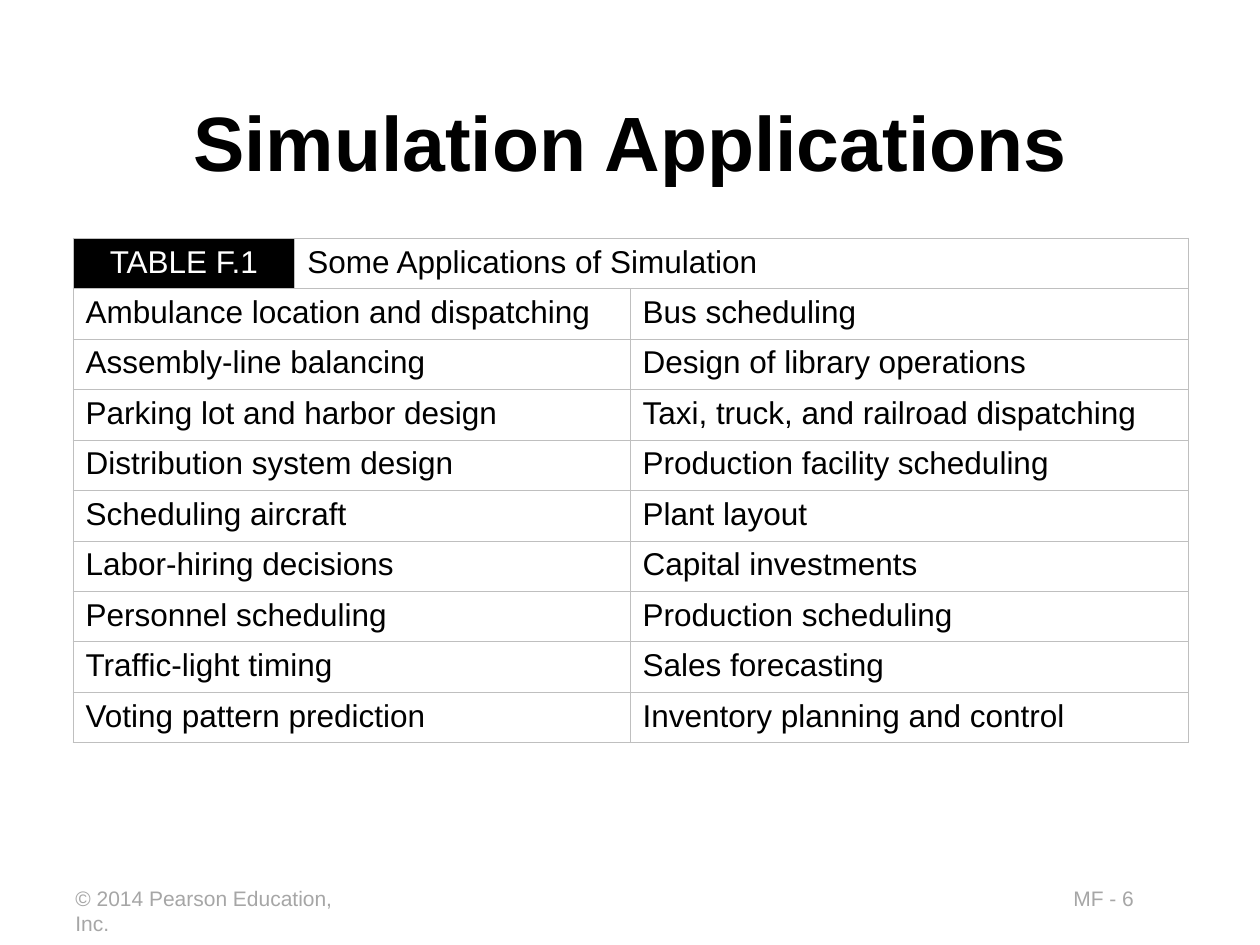
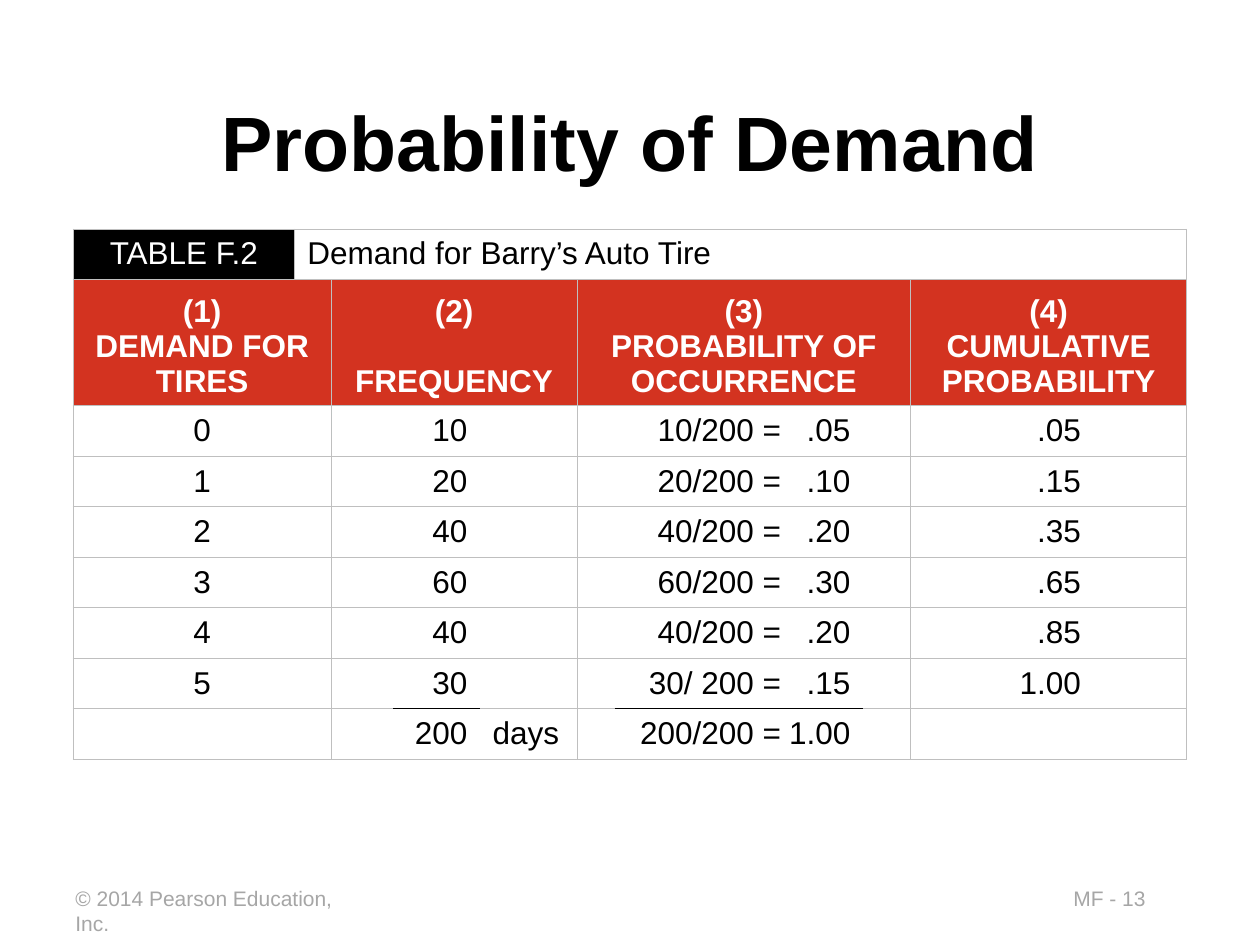
from dataclasses import dataclass

from lxml import etree
from pptx import Presentation
from pptx.dml.color import RGBColor
from pptx.enum.text import MSO_ANCHOR, PP_ALIGN
from pptx.oxml.ns import qn
from pptx.util import Inches, Pt

LEFT, CENTER, RIGHT = PP_ALIGN.LEFT, PP_ALIGN.CENTER, PP_ALIGN.RIGHT
TOP, MIDDLE, BOTTOM = MSO_ANCHOR.TOP, MSO_ANCHOR.MIDDLE, MSO_ANCHOR.BOTTOM

COPYRIGHT = "© 2014 Pearson Education, Inc."

APPLICATIONS = {
    "title": "Simulation Applications",
    "page": "MF - 6",
    "label": "TABLE F.1",
    "caption": "Some Applications of Simulation",
    "top": 1.89,
    "cols": [1.76, 2.66, 4.43],
    "rows": [0.4] * 10,
}
APPLICATION_PAIRS = [
    ("Ambulance location and dispatching", "Bus scheduling"),
    ("Assembly-line balancing", "Design of library operations"),
    ("Parking lot and harbor design", "Taxi, truck, and railroad dispatching"),
    ("Distribution system design", "Production facility scheduling"),
    ("Scheduling aircraft", "Plant layout"),
    ("Labor-hiring decisions", "Capital investments"),
    ("Personnel scheduling", "Production scheduling"),
    ("Traffic-light timing", "Sales forecasting"),
    ("Voting pattern prediction", "Inventory planning and control"),
]

DEMAND = {
    "title": "Probability of Demand",
    "page": "MF - 13",
    "label": "TABLE F.2",
    "caption": "Demand for Barry’s Auto Tire",
    "top": 1.82,
    "cols": [1.76, 0.29, 0.49, 0.69, 0.77, 0.3, 1.97, 0.38, 2.19],
    "rows": [0.4, 1] + [0.4] * 7,
}
# first column, columns spanned, heading (\v breaks the line)
DEMAND_HEADINGS = [
    (0, 2, "(1)\vDEMAND FOR TIRES"),
    (2, 3, "(2)\v\vFREQUENCY"),
    (5, 3, "(3)\vPROBABILITY OF OCCURRENCE"),
    (8, 1, "(4)\vCUMULATIVE PROBABILITY"),
]
# demand, frequency, unit, ratio, probability, cumulative probability
DEMAND_ROWS = [
    ("0", "10", "", "10/200 =", ".05", ".05"),
    ("1", "20", "", "20/200 =", ".10", ".15"),
    ("2", "40", "", "40/200 =", ".20", ".35"),
    ("3", "60", "", "60/200 =", ".30", ".65"),
    ("4", "40", "", "40/200 =", ".20", ".85"),
    ("5", "30", "", "30/ 200 =", ".15", "1.00"),
    ("", "200", "days", "200/200 =", "1.00", ""),
]
RATIO_TABS = (1.22, 1.77)
CUMULATIVE_TABS = (1.25,)


@dataclass(frozen=True)
class Theme:
    font: str = "Arial"
    ink: str = "000000"
    paper: str = "FFFFFF"
    accent: str = "D33320"
    muted: str = "A6A6A6"
    grid: str = "BFBFBF"
    title_size: int = 44
    table_size: int = 18
    footer_size: int = 12
    grid_width: float = 0.45
    left: float = 0.58


T = Theme()


def style_paragraph(p, size, color, align=LEFT, bold=False, tabs=()):
    """Align and colour a paragraph; tabs are right-aligned stops in inches."""
    p.alignment = align
    if tabs:
        tab_list = etree.SubElement(p._p.get_or_add_pPr(), qn("a:tabLst"))
        for pos in tabs:
            etree.SubElement(tab_list, qn("a:tab"), pos=str(Inches(pos)), algn="r")
    p.font.name = T.font
    p.font.size = Pt(size)
    p.font.bold = bold
    p.font.color.rgb = RGBColor.from_string(color)


def add_text(s, text, box, size, color, align=LEFT, bold=False, anchor=TOP, wrap=False):
    tf = s.shapes.add_textbox(*map(Inches, box)).text_frame
    tf.word_wrap = wrap
    tf.vertical_anchor = anchor
    tf.text = text
    style_paragraph(tf.paragraphs[0], size, color, align, bold)


def set_borders(cell, edges, dark):
    """Draw the edges named by the letters in edges, dark ones in ink."""
    tc_pr = cell._tc.get_or_add_tcPr()
    for i, edge in enumerate("LRTB"):
        ln = etree.Element(qn(f"a:ln{edge}"), w=str(Pt(T.grid_width)))
        if edge in edges:
            fill = etree.SubElement(ln, qn("a:solidFill"))
            color = T.ink if edge in dark else T.grid
            etree.SubElement(fill, qn("a:srgbClr"), val=color)
        else:
            etree.SubElement(ln, qn("a:noFill"))
        tc_pr.insert(i, ln)


def fill_cell(table, row, col, text, span=1, color=T.ink, fill=None, align=LEFT,
              bold=False, anchor=TOP, tabs=(), edges="LRTB", dark=""):
    cell = table.cell(row, col)
    if span > 1:
        cell.merge(table.cell(row, col + span - 1))
    cell.text = text
    cell.vertical_anchor = anchor
    style_paragraph(cell.text_frame.paragraphs[0], T.table_size, color, align, bold, tabs)
    if fill:
        cell.fill.solid()
        cell.fill.fore_color.rgb = RGBColor.from_string(fill)
    else:
        cell.fill.background()
    set_borders(cell, edges, dark)
    return cell


def add_table_slide(prs, info):
    """Add title, footers and a table with its caption row; return the table."""
    s = prs.slides.add_slide(prs.slide_layouts[6])
    add_text(s, info["page"], (8.42, 6.98, 1.35, 0.3), T.footer_size, T.muted)
    add_text(s, COPYRIGHT, (0.5, 6.98, 2.55, 0.3), T.footer_size, T.muted)
    add_text(s, info["title"], (T.left, 0.6, 8.85, 1.04), T.title_size, T.ink,
             CENTER, bold=True, anchor=MIDDLE, wrap=True)

    cols, rows = info["cols"], info["rows"]
    box = (T.left, info["top"], sum(cols), sum(rows))
    table = s.shapes.add_table(len(rows), len(cols), *map(Inches, box)).table
    table.first_row = table.horz_banding = False
    for column, width in zip(table.columns, cols):
        column.width = Inches(width)
    for row, height in zip(table.rows, rows):
        row.height = Inches(height)
    fill_cell(table, 0, 0, info["label"], color=T.paper, fill=T.ink, align=CENTER)
    fill_cell(table, 0, 1, info["caption"], span=len(cols) - 1)
    return table


def build_applications(prs):
    table = add_table_slide(prs, APPLICATIONS)
    for row, (first, second) in enumerate(APPLICATION_PAIRS, start=1):
        fill_cell(table, row, 0, first, span=2)
        fill_cell(table, row, 2, second)


def build_demand(prs):
    table = add_table_slide(prs, DEMAND)
    for col, span, heading in DEMAND_HEADINGS:
        fill_cell(table, 1, col, heading, span, T.paper, T.accent, CENTER,
                  bold=True, anchor=BOTTOM)

    total_row = len(DEMAND["rows"]) - 1
    sum_line = {total_row - 1: "B", total_row: "T"}
    for row, (demand, count, unit, ratio, share, cumulative) in enumerate(DEMAND_ROWS, start=2):
        dark = sum_line.get(row, "")
        fill_cell(table, row, 0, demand, span=2, align=CENTER, anchor=MIDDLE)
        for col in (2, 5):
            fill_cell(table, row, col, "", edges="LTB")
        fill_cell(table, row, 3, count, align=RIGHT, anchor=MIDDLE, edges="TB", dark=dark)
        fill_cell(table, row, 4, unit, anchor=MIDDLE, edges="RTB")
        cell = fill_cell(table, row, 6, f"\t{ratio}\t{share}", anchor=MIDDLE,
                         tabs=RATIO_TABS, edges="TB", dark=dark)
        cell.margin_right = Inches(0.05)
        fill_cell(table, row, 7, "", edges="RTB")
        fill_cell(table, row, 8, f"\t{cumulative}" if cumulative else "",
                  anchor=MIDDLE, tabs=CUMULATIVE_TABS)


def main():
    prs = Presentation()
    prs.slide_width, prs.slide_height = Inches(10), Inches(7.5)
    build_applications(prs)
    build_demand(prs)
    prs.save("out.pptx")


if __name__ == "__main__":
    main()
